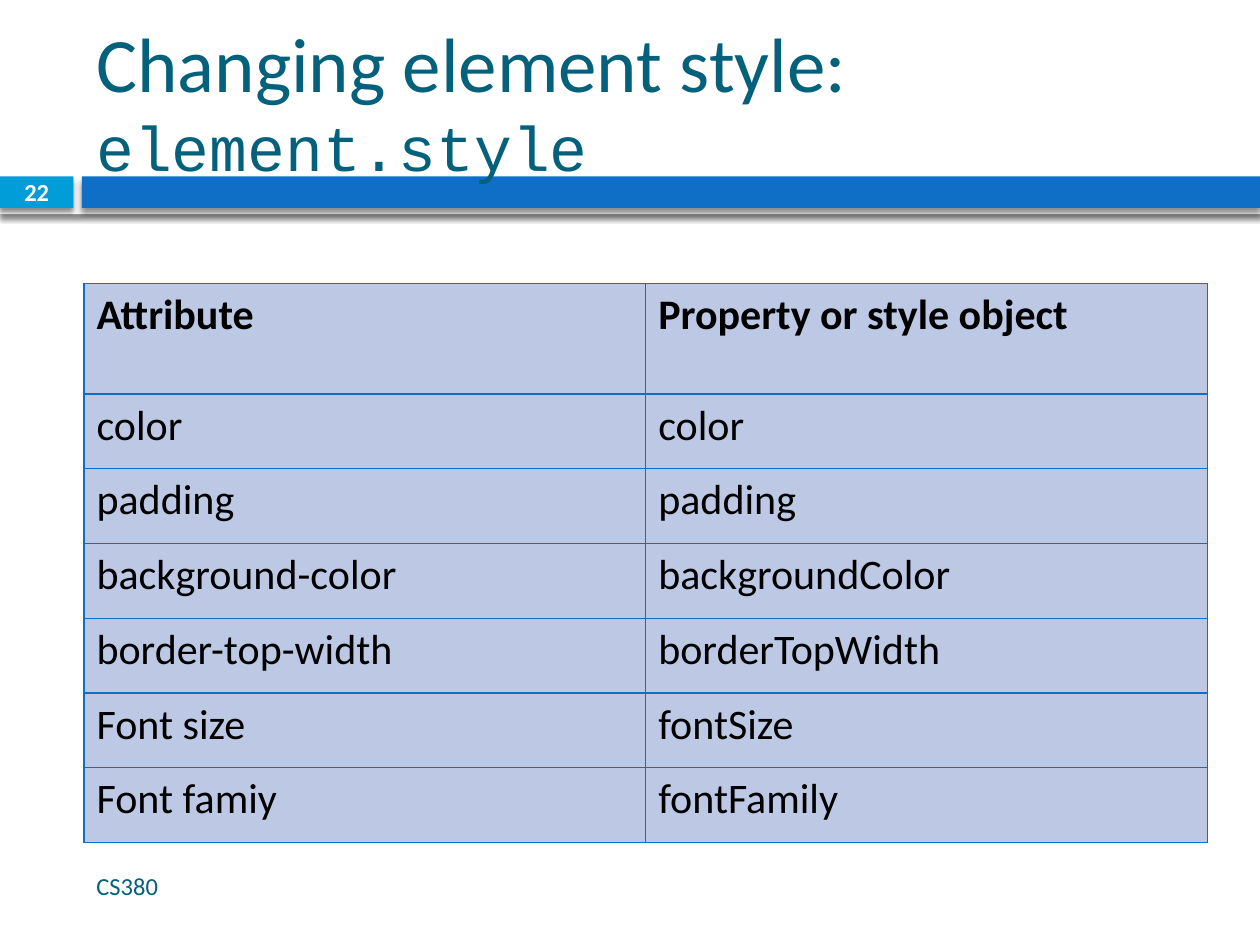
"""Build the element style slide with its attribute table."""
import dataclasses

import pptx
import pptx.dml.color
import pptx.enum.shapes
import pptx.enum.text
import pptx.oxml
import pptx.oxml.ns
import pptx.util

Pt = pptx.util.Pt
ALIGN = pptx.enum.text.PP_ALIGN


@dataclasses.dataclass(frozen=True)
class Theme:
    body: str = "Calibri"
    code: str = "Courier New"
    white: str = "FFFFFF"
    black: str = "000000"
    teal: str = "04617B"
    cyan: str = "009DD9"
    blue: str = "0F6FC6"
    cell: str = "BCC8E4"
    title_size: int = 44
    code_size: int = 36
    table_size: int = 24
    small_size: int = 14


T = Theme()
TITLE = [("Changing element style: ", T.body, T.title_size),
         ("element.style", T.code, T.code_size)]
NUMBER = "22"
FOOTER = "CS380"
ROWS = [
    ("Attribute", "Property or style object"),
    ("color", "color"),
    ("padding", "padding"),
    ("background-color", "backgroundColor"),
    ("border-top-width", "borderTopWidth"),
    ("Font size", "fontSize"),
    ("Font famiy", "fontFamily"),
]
BARS = [
    (0, 97.2, 720, 25.2, T.white),
    (0, 100.8, 42, 18, T.cyan),
    (46.8, 100.8, 673.2, 18, T.blue),
]
LEFT, WIDTH = 48, 642
TABLE_TOP, HEADER_HEIGHT, ROW_HEIGHT = 162, 63.12, 42.72
BORDER = 0.79
NS = pptx.oxml.ns.nsdecls("a")


def rgb(value):
    return pptx.dml.color.RGBColor.from_string(value)


def style(r, font, size, color, bold=False):
    r.font.name, r.font.size, r.font.bold = font, Pt(size), bold
    r.font.color.rgb = rgb(color)


def add_bar(slide, x, y, w, h, color):
    sp = slide.shapes.add_shape(pptx.enum.shapes.MSO_SHAPE.RECTANGLE,
                                Pt(x), Pt(y), Pt(w), Pt(h))
    sp.fill.solid()
    sp.fill.fore_color.rgb = rgb(color)
    sp.line.fill.background()
    sp.shadow.inherit = False
    effects = sp._element.spPr.find(pptx.oxml.ns.qn("a:effectLst"))
    effects.append(pptx.oxml.parse_xml(
        f'<a:outerShdw {NS} blurRad="{Pt(3)}" dist="{Pt(2.4)}" dir="5400000" '
        f'algn="t" rotWithShape="0"><a:srgbClr val="{T.black}">'
        '<a:alpha val="45000"/></a:srgbClr></a:outerShdw>'))


def add_text(slide, x, y, w, h, runs, color, bold=False, align=ALIGN.LEFT):
    tf = slide.shapes.add_textbox(Pt(x), Pt(y), Pt(w), Pt(h)).text_frame
    tf.word_wrap = True
    tf.vertical_anchor = pptx.enum.text.MSO_ANCHOR.MIDDLE
    p = tf.paragraphs[0]
    p.alignment = align
    for text, font, size in runs:
        r = p.add_run()
        r.text = text
        style(r, font, size, color, bold)


def add_borders(cell):
    tc_pr = cell._tc.get_or_add_tcPr()
    for i, side in enumerate("LRTB"):
        tc_pr.insert(i, pptx.oxml.parse_xml(
            f'<a:ln{side} {NS} w="{Pt(BORDER)}"><a:solidFill>'
            f'<a:srgbClr val="{T.blue}"/></a:solidFill></a:ln{side}>'))


def add_table(slide):
    cols = len(ROWS[0])
    heights = [HEADER_HEIGHT] + [ROW_HEIGHT] * (len(ROWS) - 1)
    table = slide.shapes.add_table(len(ROWS), cols, Pt(LEFT), Pt(TABLE_TOP),
                                   Pt(WIDTH), Pt(sum(heights))).table
    for col in table.columns:
        col.width = Pt(WIDTH / cols)
    for i, (texts, height) in enumerate(zip(ROWS, heights)):
        table.rows[i].height = Pt(height)
        for j, text in enumerate(texts):
            cell = table.cell(i, j)
            cell.text_frame.text = text
            style(cell.text_frame.paragraphs[0].runs[0],
                  T.body, T.table_size, T.black, i == 0)
            cell.fill.solid()
            cell.fill.fore_color.rgb = rgb(T.cell)
            add_borders(cell)


prs = pptx.Presentation()
prs.slide_width, prs.slide_height = Pt(720), Pt(540)
slide = prs.slides.add_slide(prs.slide_layouts[6])
for bar in BARS:
    add_bar(slide, *bar)
add_text(slide, LEFT, 18, WIDTH, 78, TITLE, T.teal)
add_text(slide, 0, 100.2, 42, 19.2, [(NUMBER, T.body, T.small_size)],
         T.white, True, ALIGN.CENTER)
add_text(slide, LEFT, 492, 427, 28.8, [(FOOTER, T.body, T.small_size)], T.teal)
add_table(slide)
prs.save("out.pptx")
